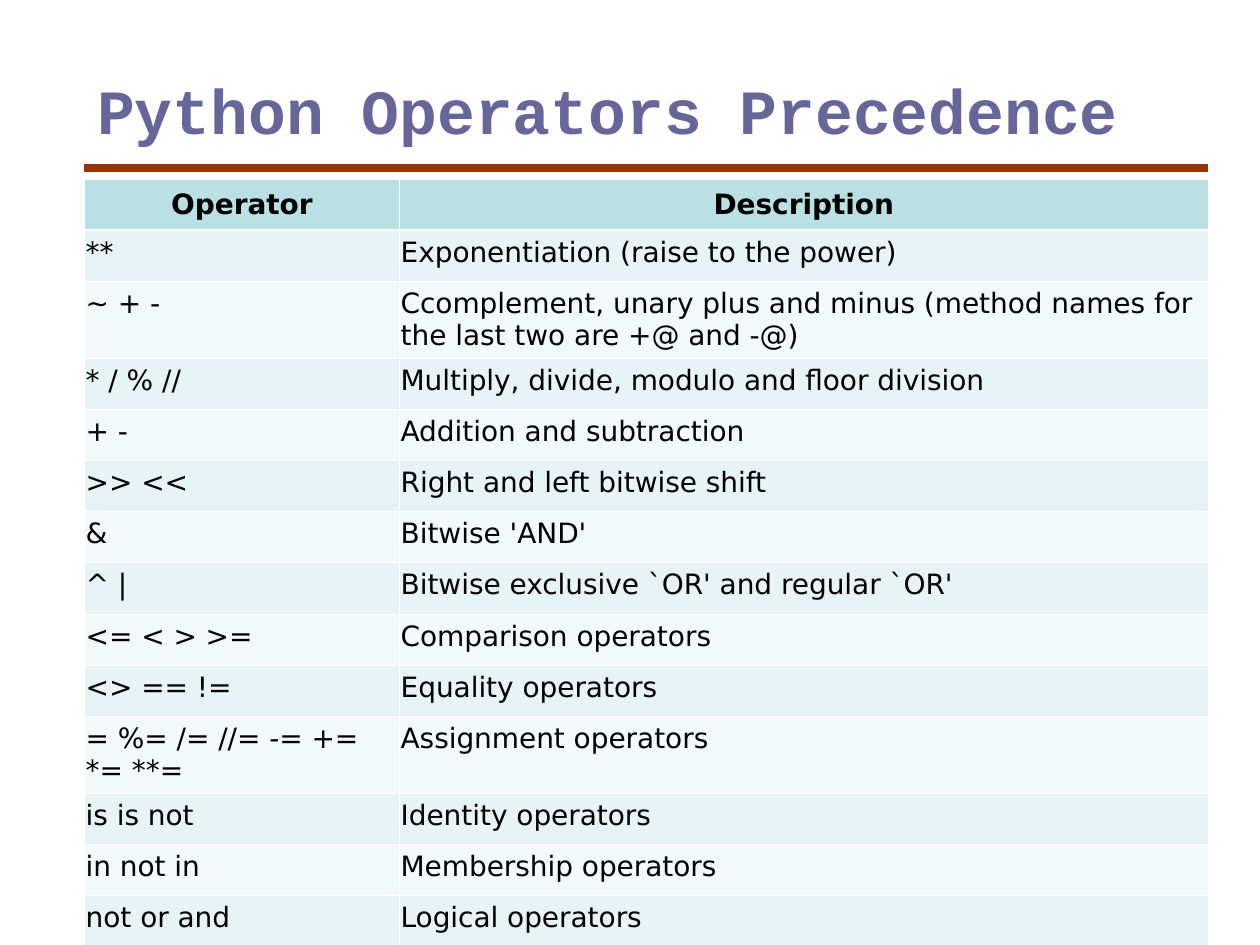
import dataclasses

import lxml.etree
import pptx
import pptx.dml.color
import pptx.enum.shapes
import pptx.enum.text
import pptx.oxml.ns
import pptx.util

Inches = pptx.util.Inches
Pt = pptx.util.Pt
qn = pptx.oxml.ns.qn
Align = pptx.enum.text.PP_ALIGN
Anchor = pptx.enum.text.MSO_ANCHOR


@dataclasses.dataclass(frozen=True)
class Theme:
    title: str = "666699"
    rule: str = "993300"
    ink: str = "000000"
    edge: str = "FFFFFF"
    head: str = "BBE0E3"
    bands: tuple = ("E7F3F4", "F3F9FA")
    title_font: str = "Courier New"
    font: str = "DejaVu Sans"
    title_size: float = 36
    size: float = 16
    rule_width: float = 4.5
    thin: float = 0.45
    thick: float = 1.47


def color(code):
    return pptx.dml.color.RGBColor.from_string(code)


class Page:
    def __init__(self, deck, theme):
        self.theme = theme
        self.slide = deck.slides.add_slide(deck.slide_layouts[5])

    def style(self, frame, font, size, ink, bold, align):
        for para in frame.paragraphs:
            para.alignment = align
            for run in para.runs:
                run.font.name = font
                run.font.size = Pt(size)
                run.font.bold = bold
                run.font.color.rgb = color(ink)

    def title(self, text, left, top, width, height):
        shape = self.slide.shapes.title
        shape.left, shape.top = Inches(left), Inches(top)
        shape.width, shape.height = Inches(width), Inches(height)
        frame = shape.text_frame
        frame.text = text
        frame.word_wrap = True
        frame.auto_size = pptx.enum.text.MSO_AUTO_SIZE.NONE
        frame.vertical_anchor = Anchor.TOP
        frame.margin_top = Inches(0.15)
        self.style(frame, self.theme.title_font, self.theme.title_size,
                   self.theme.title, True, Align.LEFT)

    def rule(self, left, top, width):
        line = self.slide.shapes.add_connector(
            pptx.enum.shapes.MSO_CONNECTOR.STRAIGHT,
            Inches(left), Inches(top), Inches(left + width), Inches(top))
        line.line.color.rgb = color(self.theme.rule)
        line.line.width = Pt(self.theme.rule_width)
        props = line._element.spPr
        lxml.etree.SubElement(props, qn("a:effectLst"))

    def border(self, cell, side, width):
        props = cell._tc.get_or_add_tcPr()
        line = lxml.etree.SubElement(props, qn(f"a:ln{side}"), w=str(Pt(width)))
        fill = lxml.etree.SubElement(line, qn("a:solidFill"))
        lxml.etree.SubElement(fill, qn("a:srgbClr"), val=self.theme.edge)

    def cell(self, cell, text, row):
        head = row == 0
        cell.text_frame.text = text
        cell.margin_left = cell.margin_right = Inches(0.01)
        cell.margin_top = cell.margin_bottom = Inches(0.05)
        cell.vertical_anchor = Anchor.MIDDLE if head else Anchor.TOP
        self.style(cell.text_frame, self.theme.font, self.theme.size,
                   self.theme.ink, head, Align.CENTER if head else Align.LEFT)
        # The line between header and body is thicker
        thick = {(0, "B"), (1, "T")}
        for side in "LRTB":
            width = self.theme.thick if (row, side) in thick else self.theme.thin
            self.border(cell, side, width)
        cell.fill.solid()
        band = self.theme.bands[(row - 1) % 2]
        cell.fill.fore_color.rgb = color(self.theme.head if head else band)

    def table(self, rows, left, top, widths, height, tall, tall_height):
        frame = self.slide.shapes.add_table(
            len(rows), len(widths), Inches(left), Inches(top),
            Inches(sum(widths)), Inches(height))
        table = frame.table
        table.first_row = table.horz_banding = False
        for column, width in zip(table.columns, widths):
            column.width = Inches(width)
        # Rows of one line share what the tall rows leave
        short = (height - len(tall) * tall_height) / (len(rows) - len(tall))
        for i, texts in enumerate(rows):
            table.rows[i].height = Inches(tall_height if i in tall else short)
            for j, text in enumerate(texts):
                self.cell(table.cell(i, j), text, i)


ROWS = [
    ("Operator", "Description"),
    ("**", "Exponentiation (raise to the power)"),
    ("~ + -", "Ccomplement, unary plus and minus "
              "(method names for the last two are +@ and -@)"),
    ("* / % //", "Multiply, divide, modulo and floor division"),
    ("+ -", "Addition and subtraction"),
    (">> <<", "Right and left bitwise shift"),
    ("&", "Bitwise 'AND'"),
    ("^ |", "Bitwise exclusive `OR' and regular `OR'"),
    ("<= < > >=", "Comparison operators"),
    ("<> == !=", "Equality operators"),
    ("= %= /= //= -= += *= **=", "Assignment operators"),
    ("is is not", "Identity operators"),
    ("in not in", "Membership operators"),
    ("not or and", "Logical operators"),
]


def main():
    deck = pptx.Presentation()
    deck.slide_width, deck.slide_height = Inches(10), Inches(7.5)
    page = Page(deck, Theme())
    left, width = 0.67, 8.92

    # Heading and the rule below it
    page.rule(left, 1.33, width)
    page.title("Python Operators Precedence", left, 0.42, width, 1.25)

    # Operators from highest to lowest precedence
    page.table(ROWS, left, 1.42, (2.5, 6.42), 5.95, tall=(2, 10), tall_height=0.54)
    deck.save("out.pptx")


if __name__ == "__main__":
    main()
